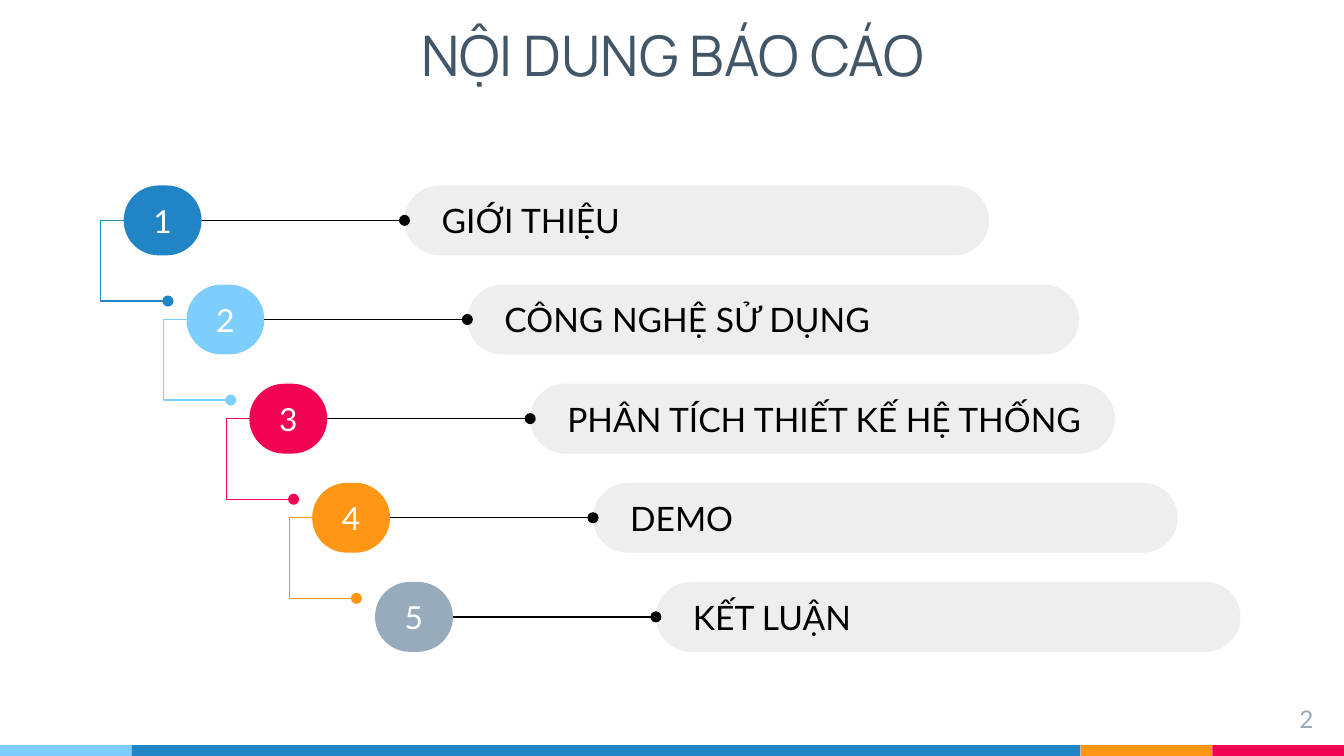
import pptx
import pptx.util
import pptx.dml.color
import pptx.enum.shapes
import pptx.enum.text
import pptx.oxml.ns
import lxml.etree

RGBColor = pptx.dml.color.RGBColor
Inches = pptx.util.Inches
Pt = pptx.util.Pt
SHAPE = pptx.enum.shapes.MSO_SHAPE
ALIGN = pptx.enum.text.PP_ALIGN
ANCHOR = pptx.enum.text.MSO_ANCHOR
qn = pptx.oxml.ns.qn

BLUE = RGBColor(0x21, 0x85, 0xC5)
SKY = RGBColor(0x7E, 0xCE, 0xFD)
PINK = RGBColor(0xF2, 0x02, 0x53)
ORANGE = RGBColor(0xFF, 0x97, 0x15)
STEEL = RGBColor(0x97, 0xAB, 0xBC)
SLATE = RGBColor(0x42, 0x56, 0x67)
PALE = RGBColor(0xEE, 0xEE, 0xEE)
BLACK = RGBColor(0, 0, 0)
WHITE = RGBColor(255, 255, 255)


def write(sp, text, size=18, color=BLACK, font="Lato", align=ALIGN.LEFT,
          anchor=ANCHOR.MIDDLE, left=0.1):
    tf = sp.text_frame
    tf.word_wrap = True
    tf.vertical_anchor = anchor
    tf.margin_left = Inches(left)
    tf.margin_top = tf.margin_right = tf.margin_bottom = Inches(0.1)
    p = tf.paragraphs[0]
    p.alignment = align
    r = p.add_run()
    r.text = text
    r.font.size = Pt(size)
    r.font.name = font
    r.font.color.rgb = color


def dot_line(sp, color):
    sp.line.color.rgb = color
    sp.line.width = Pt(0.75)
    ln = sp.line._get_or_add_ln()
    lxml.etree.SubElement(ln, qn("a:tailEnd"), type="oval")


prs = pptx.Presentation()
prs.slide_width = Inches(10)
prs.slide_height = prs.slide_width * 9 // 16
W, H = prs.slide_width, prs.slide_height
s = prs.slides.add_slide(prs.slide_layouts[6])

END = 0.98
x = 0
for width, color in [(END, SKY), (10 - 3 * END, BLUE), (END, ORANGE), (END, PINK)]:
    sp = s.shapes.add_shape(SHAPE.RECTANGLE, Inches(x), H - Inches(0.08),
                            Inches(width), Inches(0.08))
    sp.shadow.inherit = False
    sp.fill.solid()
    sp.fill.fore_color.rgb = color
    sp.line.fill.background()
    x += width

sp = s.shapes.add_textbox(Inches(0.78), Inches(0.14), Inches(8.45), Inches(0.53))
write(sp, "NỘI DUNG BÁO CÁO", size=30, color=SLATE, font="Manrope", align=ALIGN.CENTER)

LEFT, TOP = 0.92, 1.38
COL, ROW = 1.87 / 4, 2.95 / 4
BUBBLE, BAR_GAP, HEIGHT = 0.58, 2.09, 0.52
items = [
    ("GIỚI THIỆU", BLUE, 4.35),
    ("CÔNG NGHỆ SỬ DỤNG", SKY, 4.55),
    ("PHÂN TÍCH THIẾT KẾ HỆ THỐNG", PINK, 4.35),
    ("DEMO", ORANGE, 4.35),
    ("KẾT LUẬN", STEEL, 4.35),
]

for i, (label, color, width) in enumerate(items):
    x, y = LEFT + i * COL, TOP + i * ROW
    mid = y + HEIGHT / 2

    if i < len(items) - 1:
        back = x - 0.17
        fb = s.shapes.build_freeform(Inches(x), Inches(mid))
        fb.add_line_segments([(Inches(a), Inches(b)) for a, b in [
            (back, mid), (back, mid + 0.6), (back + 0.5, mid + 0.6)]], close=False)
        sp = fb.convert_to_shape()
        sp.shadow.inherit = False
        sp.fill.background()
        dot_line(sp, color)

    for left, w, fill, text, fmt in [
        (x, BUBBLE, color, str(i + 1), dict(size=17, color=WHITE, align=ALIGN.CENTER)),
        (x + BAR_GAP, width, PALE, label, dict(left=0.2)),
    ]:
        sp = s.shapes.add_shape(SHAPE.ROUNDED_RECTANGLE, Inches(left), Inches(y),
                                Inches(w), Inches(HEIGHT))
        sp.adjustments[0] = 0.5
        sp.shadow.inherit = False
        sp.fill.solid()
        sp.fill.fore_color.rgb = fill
        sp.line.fill.background()
        write(sp, text, **fmt)

    sp = s.shapes.add_connector(pptx.enum.shapes.MSO_CONNECTOR.STRAIGHT,
                                Inches(x + BUBBLE), Inches(mid),
                                Inches(x + BAR_GAP), Inches(mid))
    dot_line(sp, BLACK)
    lxml.etree.SubElement(sp._element.spPr, qn("a:effectLst"))

sp = s.shapes.add_textbox(Inches(9.27), Inches(5.14), Inches(0.6), Inches(0.34))
write(sp, "2", size=13, color=STEEL, align=ALIGN.RIGHT, anchor=ANCHOR.TOP)

prs.save("out.pptx")
